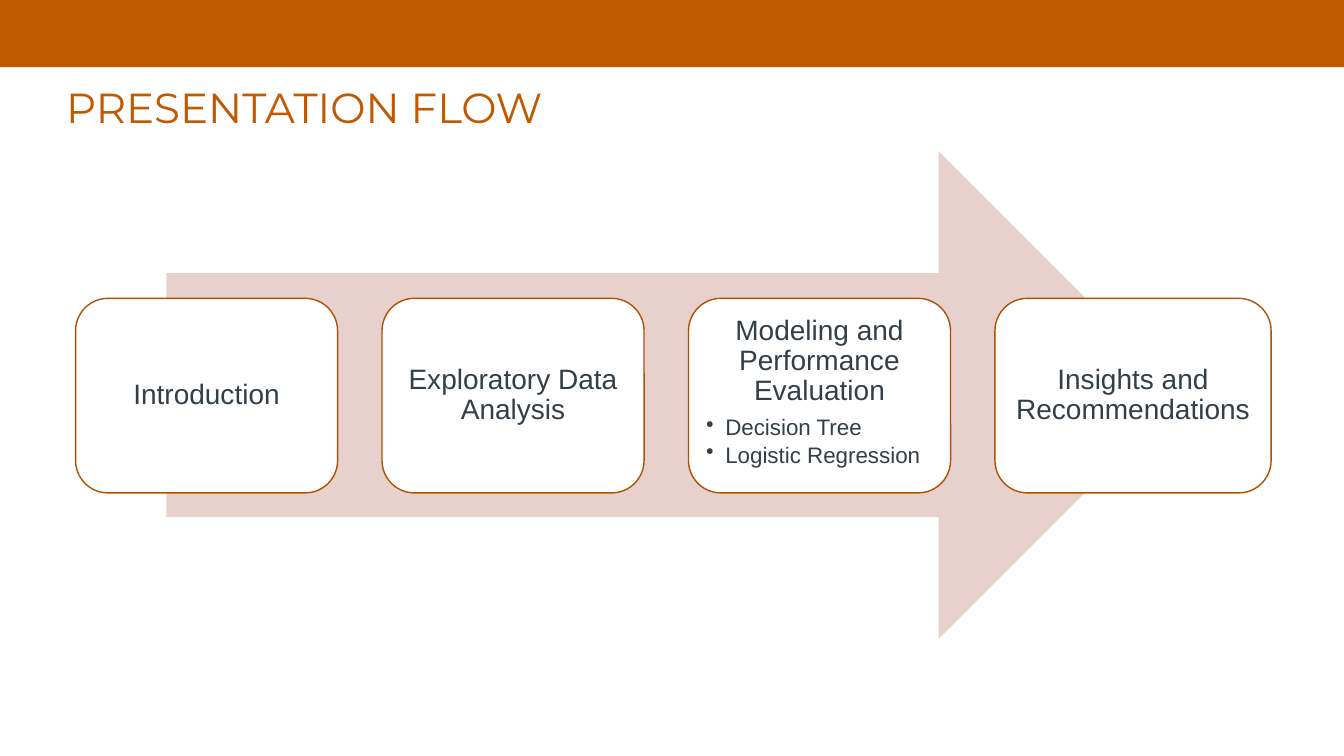
from pptx import Presentation
from pptx.dml.color import RGBColor
from pptx.enum.shapes import MSO_SHAPE as Kind
from pptx.enum.text import MSO_ANCHOR as Anchor, PP_ALIGN as Align
from pptx.oxml.ns import qn
from pptx.util import Pt
from lxml.etree import SubElement

ORANGE, EDGE, PINK, WHITE, SLATE = "C05900", "AE5100", "E8D1CC", "FFFFFF", "333F48"
LEFT, TOP, WIDTH, HIGH, PITCH = 54, 213.1, 187.2, 139, 218.9
INDENT = 13.7
STEPS = [
    ("Introduction", [], WIDTH),
    ("Exploratory Data Analysis", [], WIDTH),
    ("Modeling and Performance Evaluation",
     ["Decision Tree", "Logistic Regression"], WIDTH),
    ("Insights and Recommendations", [], 197.3),
]


def color(code):
    return RGBColor.from_string(code)


def add_block(slide, kind, box, fill, edge=None):
    shape = slide.shapes.add_shape(kind, *map(Pt, box))
    shape.shadow.inherit = False
    shape.fill.solid()
    shape.fill.fore_color.rgb = color(fill)
    if edge:
        shape.line.color.rgb = color(edge)
        shape.line.width = Pt(1)
    else:
        shape.line.fill.background()
    return shape


def style(para, text, size, face, ink, align):
    para.text = text
    para.alignment = align
    para.line_spacing = 0.9
    para.font.size = Pt(size)
    para.font.name = face
    para.font.color.rgb = color(ink)


def add_bullet(frame, text):
    para = frame.add_paragraph()
    style(para, text, 16, "Arial", SLATE, Align.LEFT)
    para.space_after = Pt(2.4)
    props = para._p.get_or_add_pPr()
    props.set("marL", str(Pt(INDENT)))
    props.set("indent", str(-Pt(INDENT)))
    bullet = SubElement(props, qn("a:buChar"))
    bullet.set("char", "•")
    # The schema wants the bullet ahead of the default run style.
    props.find(qn("a:defRPr")).addprevious(bullet)


def add_title(slide, text):
    box = slide.shapes.add_textbox(Pt(10), Pt(26.6), Pt(414.7), Pt(104.4))
    frame = box.text_frame
    frame.word_wrap = True
    frame.vertical_anchor = Anchor.MIDDLE
    style(frame.paragraphs[0], text, 30, "Montserrat", ORANGE, Align.CENTER)


def add_step(slide, left, width, head, points):
    card = add_block(slide, Kind.ROUNDED_RECTANGLE,
                     (left, TOP, width, HIGH), WHITE, EDGE)
    frame = card.text_frame
    frame.word_wrap = True
    frame.vertical_anchor = Anchor.TOP if points else Anchor.MIDDLE
    frame.margin_left = frame.margin_right = Pt(5.8)
    frame.margin_top = frame.margin_bottom = Pt(5.8)
    para = frame.paragraphs[0]
    style(para, head, 20, "Arial", SLATE, Align.CENTER)
    para.space_after = Pt(7)
    for point in points:
        add_bullet(frame, point)


def main():
    deck = Presentation()
    deck.slide_width, deck.slide_height = Pt(960), Pt(540)
    slide = deck.slides.add_slide(deck.slide_layouts[6])
    add_block(slide, Kind.RECTANGLE, (0, 0, 960, 48), ORANGE)
    add_title(slide, "PRESENTATION FLOW")
    add_block(slide, Kind.RIGHT_ARROW, (118.8, 108, 725.8, 348.5), PINK)
    for i, (head, points, width) in enumerate(STEPS):
        add_step(slide, LEFT + i * PITCH, width, head, points)
    deck.save("out.pptx")


if __name__ == "__main__":
    main()
